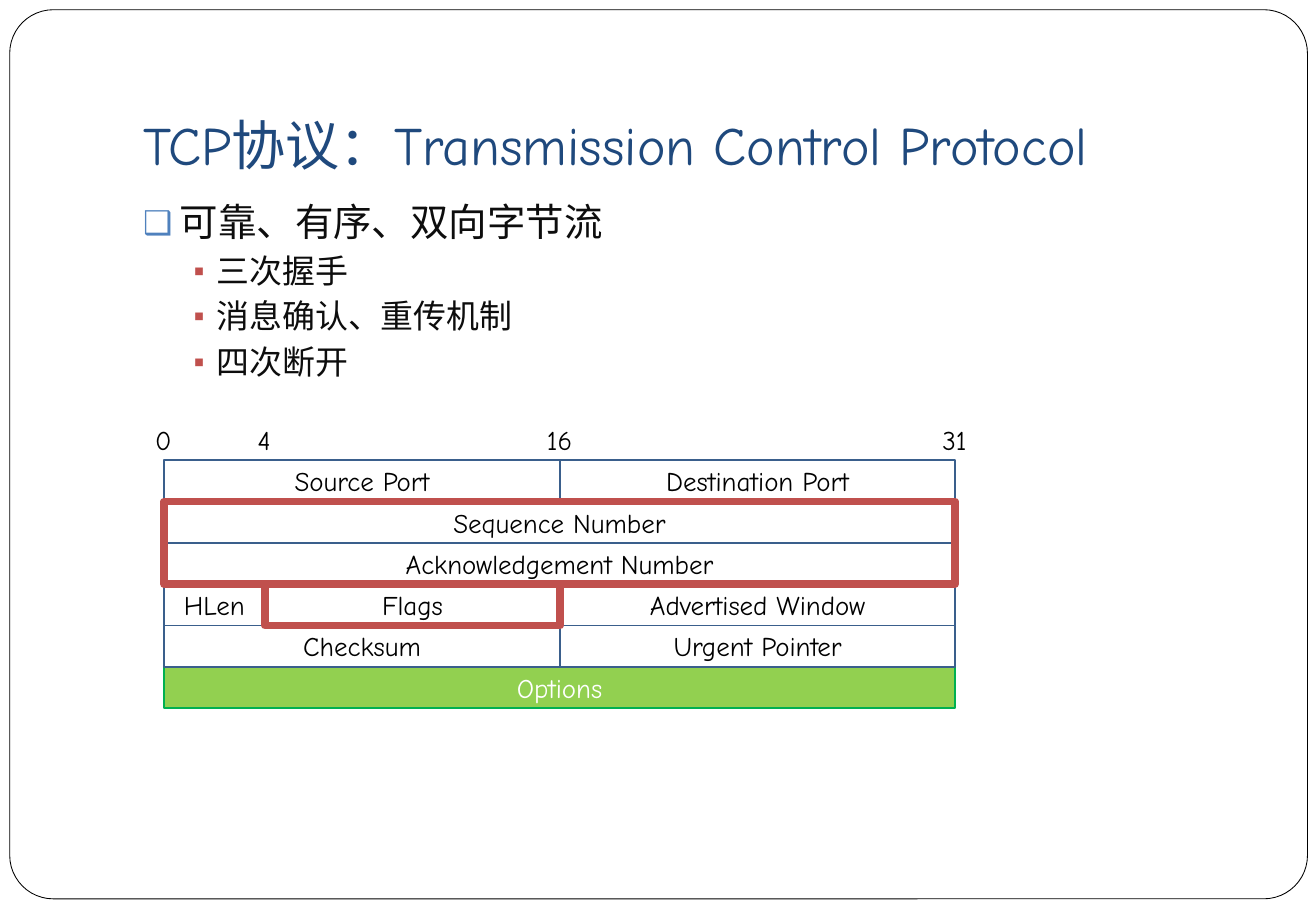
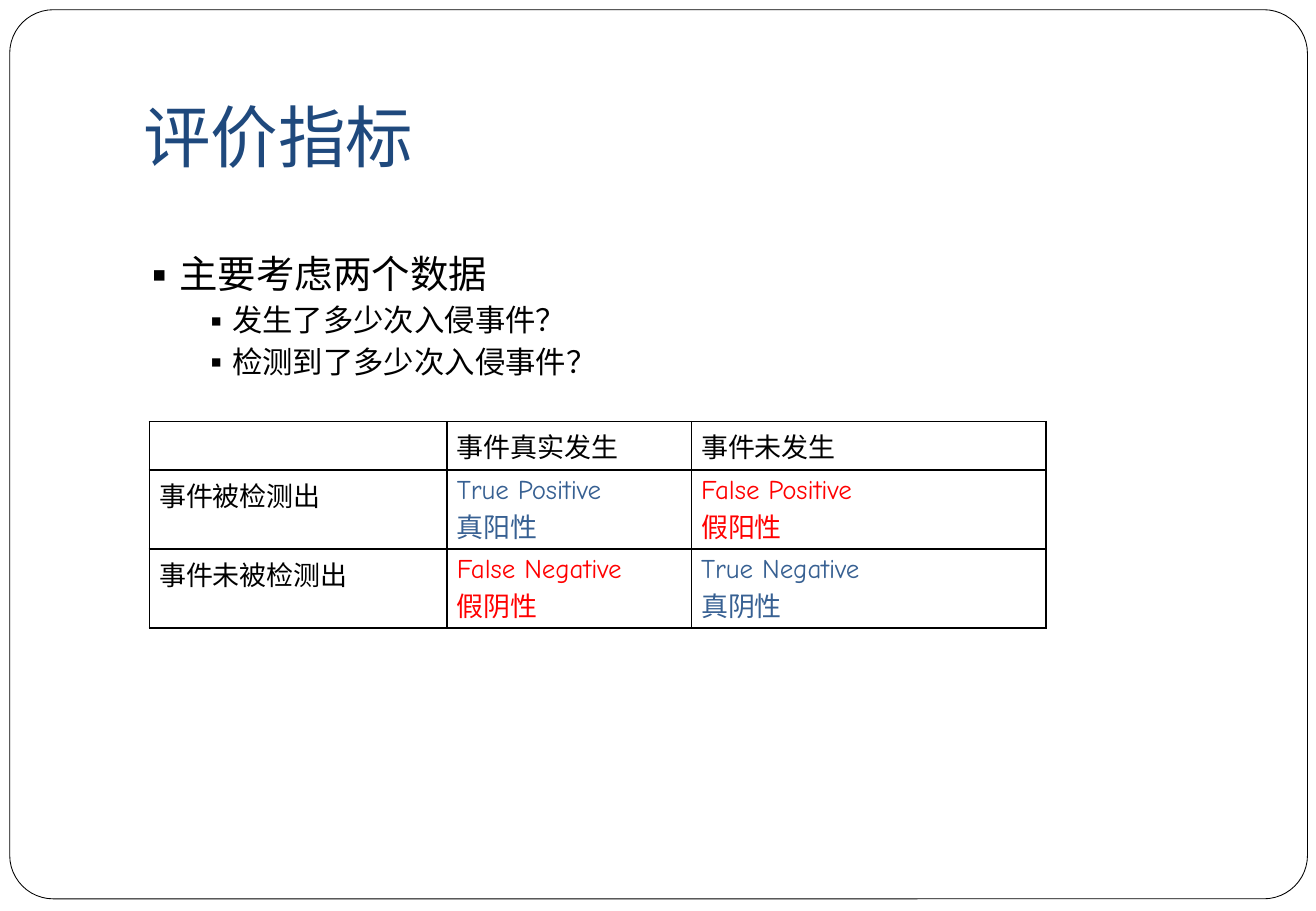
"""Build two slides on the TCP header and on detection metrics."""
import dataclasses

import lxml.etree
import pptx
import pptx.dml.color
import pptx.enum.shapes
import pptx.enum.text
import pptx.oxml.ns
import pptx.util


@dataclasses.dataclass(frozen=True)
class Theme:
    latin: str = "Comic Neue"
    asian: str = "Noto Sans CJK SC"
    black: str = "000000"
    white: str = "FFFFFF"
    title: str = "1F497D"
    body: str = "0D0D0D"
    blue: str = "4F81BD"
    edge: str = "3A5F8C"
    mark: str = "C0504D"
    green: str = "92D050"
    rim: str = "00B050"
    true: str = "376092"
    false: str = "FF0000"
    small: float = 16
    thin: float = 0.5
    line: float = 1
    thick: float = 4.5


theme = Theme()
PX = 9144
qn = pptx.oxml.ns.qn
rgb = pptx.dml.color.RGBColor.from_string
Pt = pptx.util.Pt
MIDDLE = pptx.enum.text.MSO_ANCHOR.MIDDLE
CENTER = pptx.enum.text.PP_ALIGN.CENTER
KIND = pptx.enum.shapes.MSO_SHAPE


def write(frame, text, size, color, latin=theme.latin, align=None):
    frame.text = text
    frame.word_wrap = True
    for para in frame.paragraphs:
        para.alignment = align
        for run in para.runs:
            run.font.size = Pt(size)
            run.font.color.rgb = rgb(color)
            run.font.name = latin
            face = lxml.etree.SubElement(run.font._element, qn("a:ea"))
            face.set("typeface", theme.asian)


def draw(slide, kind, spot, fill, edge, width):
    shape = slide.shapes.add_shape(kind, *(n * PX for n in spot))
    shape.shadow.inherit = False
    if fill:
        shape.fill.solid()
        shape.fill.fore_color.rgb = rgb(fill)
    else:
        shape.fill.background()
    shape.line.color.rgb = rgb(edge)
    shape.line.width = Pt(width)
    return shape


deck = pptx.Presentation()
deck.slide_width = 1083 * PX
deck.slide_height = 750 * PX

pages = []
for title, size in [("TCP协议：Transmission Control Protocol", 32), ("评价指标", 40)]:
    slide = deck.slides.add_slide(deck.slide_layouts[6])
    panel = draw(slide, KIND.ROUNDED_RECTANGLE, (8, 8, 1068, 732),
                 theme.white, theme.black, theme.thin)
    panel.adjustments[0] = 0.049
    box = slide.shapes.add_textbox(108 * PX, 30 * PX, 921 * PX, 125 * PX)
    write(box.text_frame, title, size, theme.title)
    box.text_frame.margin_bottom = 10 * PX
    box.text_frame.vertical_anchor = pptx.enum.text.MSO_ANCHOR.BOTTOM
    pages.append(slide)
header, metrics = pages

tcp = "可靠、有序、双向字节流\n三次握手\n消息确认、重传机制\n四次断开"
data = "主要考虑两个数据\n发生了多少次入侵事件？\n检测到了多少次入侵事件？"
lists = [
    (header, (108, 158, 921, 500), tcp, theme.latin, theme.body, 1, 85,
     [("❑", theme.blue, 22.8, 30, 30, 5.8), ("▪", theme.mark, 19.5, 60, 25, 3.7)]),
    (metrics, (108, 199, 700, 125), data, theme.asian, theme.black, 0.9, 100,
     [("▪", theme.black, 22.8, 25, 25, 10), ("▪", theme.black, 18, 75, 25, 5)]),
]
for slide, spot, text, latin, color, pitch, scale, levels in lists:
    frame = slide.shapes.add_textbox(*(n * PX for n in spot)).text_frame
    write(frame, text, theme.small, color, latin)
    if slide is metrics:
        frame.vertical_anchor = MIDDLE
        frame.margin_left = frame.margin_right = 8 * PX
        frame.margin_top = frame.margin_bottom = 4 * PX
    for row, para in enumerate(frame.paragraphs):
        sign, tint, size, left, hang, gap = levels[min(row, 1)]
        para.level = min(row, 1)
        para.line_spacing = pitch
        para.space_before = Pt(gap)
        para.runs[0].font.size = Pt(size)
        props = para._p.get_or_add_pPr()
        props.set("marL", str(left * PX))
        props.set("indent", str(-hang * PX))
        ink = lxml.etree.SubElement(props, qn("a:buClr"))
        lxml.etree.SubElement(ink, qn("a:srgbClr")).set("val", tint)
        lxml.etree.SubElement(props, qn("a:buSzPct")).set("val", str(scale * 1000))
        lxml.etree.SubElement(props, qn("a:buFont")).set("typeface", theme.asian)
        lxml.etree.SubElement(props, qn("a:buChar")).set("char", sign)

ticks = {0: 135, 4: 218, 16: 461, 31: 786}
top, step = 379, 34
for bit, left in ticks.items():
    box = header.shapes.add_textbox((left - 27) * PX, 335 * PX, 53 * PX, 54 * PX)
    write(box.text_frame, str(bit), theme.small, theme.black, align=CENTER)
    box.text_frame.vertical_anchor = MIDDLE

plain = (theme.white, theme.edge, theme.line)
lime = (theme.green, theme.rim, theme.line)
ring = (None, theme.mark, theme.thick)
fields = [
    ("Options", 5, 1, 0, 31, lime),
    ("Source Port", 0, 1, 0, 16, plain),
    ("Destination Port", 0, 1, 16, 31, plain),
    ("Sequence Number", 1, 1, 0, 31, plain),
    ("Acknowledgement Number", 2, 1, 0, 31, plain),
    ("HLen", 3, 1, 0, 4, plain),
    ("Flags", 3, 1, 4, 16, plain),
    ("Advertised Window", 3, 1, 16, 31, plain),
    ("Checksum", 4, 1, 0, 16, plain),
    ("Urgent Pointer", 4, 1, 16, 31, plain),
    ("", 1, 2, 0, 31, ring),
    ("", 3, 1, 4, 16, ring),
]
for name, row, span, start, end, look in fields:
    spot = (ticks[start], top + step * row, ticks[end] - ticks[start], step * span)
    shape = draw(header, KIND.RECTANGLE, spot, *look)
    if name:
        color = theme.white if look is lime else theme.black
        write(shape.text_frame, name, theme.small, color, align=CENTER)
        shape.text_frame.vertical_anchor = MIDDLE

cells = [
    ["", "事件真实发生", "事件未发生"],
    ["事件被检测出", "True Positive\n真阳性", "False Positive\n假阳性"],
    ["事件未被检测出", "False Negative\n假阴性", "True Negative\n真阴性"],
]
widths, heights = (245, 201, 292), (40, 65, 65)
grid = metrics.shapes.add_table(3, 3, 123 * PX, 347 * PX,
                                sum(widths) * PX, sum(heights) * PX).table
grid.first_row = grid.horz_banding = False
for col, width in zip(grid.columns, widths):
    col.width = width * PX
for row, height, texts in zip(grid.rows, heights, cells):
    row.height = height * PX
    for cell, text in zip(row.cells, texts):
        color = {"T": theme.true, "F": theme.false}.get(text[:1], theme.black)
        write(cell.text_frame, text, theme.small, color)
        cell.margin_left = cell.margin_right = 8 * PX
        cell.margin_top = cell.margin_bottom = 4 * PX
        props = cell._tc.get_or_add_tcPr()
        for side in ("a:lnL", "a:lnR", "a:lnT", "a:lnB"):
            edge = lxml.etree.SubElement(props, qn(side))
            edge.set("w", str(Pt(theme.line)))
            ink = lxml.etree.SubElement(edge, qn("a:solidFill"))
            lxml.etree.SubElement(ink, qn("a:srgbClr")).set("val", theme.black)
        cell.fill.background()

deck.save("out.pptx")
